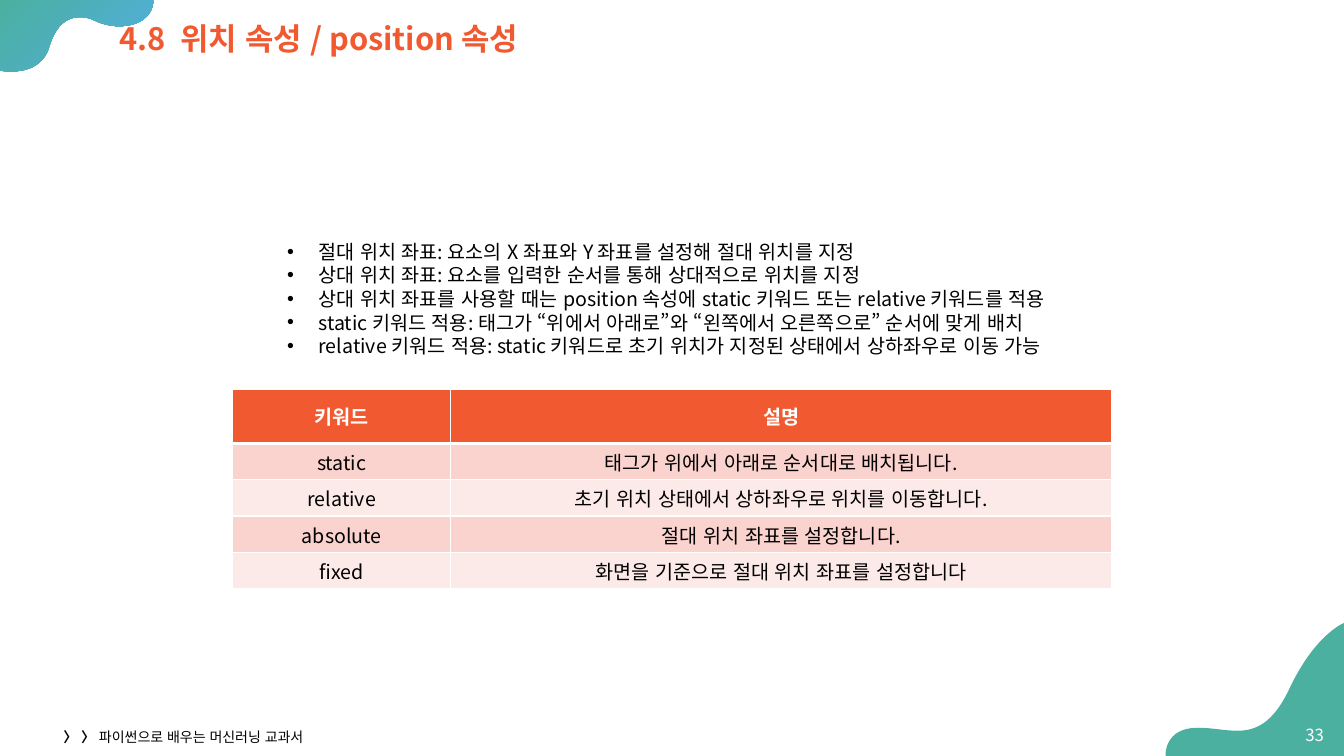
from lxml.etree import SubElement
from pptx import Presentation
from pptx.dml.color import RGBColor
from pptx.enum.lang import MSO_LANGUAGE_ID as Language
from pptx.enum.text import MSO_ANCHOR as Anchor, PP_ALIGN as Align
from pptx.oxml.ns import qn
from pptx.util import Inches, Pt

FONT = "Noto Sans CJK KR"
ORANGE = RGBColor(0xF1, 0x5A, 0x31)
TEAL = RGBColor(0x4B, 0xB0, 0xA0)
BLUE = RGBColor(0x52, 0xAE, 0xE1)
WHITE = RGBColor(0xFF, 0xFF, 0xFF)
BLACK = RGBColor(0, 0, 0)
BANDS = RGBColor(0xFA, 0xD2, 0xCE), RGBColor(0xFC, 0xEA, 0xE8)

# Outline segments: one point is a line, three points are a Bezier curve
TOP_WAVE = [
    [(0, 0)], [(0, 0.7)],
    [(0, 0.7), (0.04, 0.71), (0.11, 0.71)],
    [(0.24, 0.71), (0.43, 0.67), (0.49, 0.46)],
    [(0.56, 0.23), (0.68, 0.17), (0.79, 0.17)],
    [(0.84, 0.17), (0.89, 0.18), (0.93, 0.2)],
    [(1.01, 0.24), (1.1, 0.26), (1.18, 0.26)],
    [(1.37, 0.26), (1.52, 0.17), (1.52, 0)],
]
BOTTOM_WAVE = [
    [(1.79, 0), (1.5, 0.11), (1.24, 0.67)],
    [(1.08, 1), (0.91, 1.07), (0.73, 1.07)],
    [(0.61, 1.07), (0.48, 1.04), (0.34, 1.04)],
    [(0, 1.04), (0.02, 1.32), (0.02, 1.32)],
    [(1.79, 1.32)],
]
POINTS = [
    "절대 위치 좌표: 요소의 X 좌표와 Y 좌표를 설정해 절대 위치를 지정",
    "상대 위치 좌표: 요소를 입력한 순서를 통해 상대적으로 위치를 지정",
    "상대 위치 좌표를 사용할 때는 position 속성에 static 키워드 또는 relative 키워드를 적용",
    "static 키워드 적용: 태그가 “위에서 아래로”와 “왼쪽에서 오른쪽으로” 순서에 맞게 배치",
    "relative 키워드 적용: static 키워드로 초기 위치가 지정된 상태에서 상하좌우로 이동 가능",
]
KEYWORDS = [
    ("키워드", "설명"),
    ("static", "태그가 위에서 아래로 순서대로 배치됩니다."),
    ("relative", "초기 위치 상태에서 상하좌우로 위치를 이동합니다."),
    ("absolute", "절대 위치 좌표를 설정합니다."),
    ("fixed", "화면을 기준으로 절대 위치 좌표를 설정합니다"),
]


def add_run(paragraph, text, size, color, bold=False):
    run = paragraph.add_run()
    run.text = text
    formats = {"name": FONT, "size": Pt(size), "bold": bold,
               "language_id": Language.KOREAN}
    for key, value in formats.items():
        setattr(run.font, key, value)
    run.font.color.rgb = color
    SubElement(run.font._element, qn("a:ea"), typeface=FONT)


def add_frame(slide, box, anchor=Anchor.MIDDLE):
    frame = slide.shapes.add_textbox(*map(Inches, box)).text_frame
    frame.word_wrap = True
    frame.vertical_anchor = anchor
    return frame


def add_wave(slide, origin, start, segments):
    spots = [(Inches(origin[0] + x), Inches(origin[1] + y))
             for segment in [[start], *segments] for x, y in segment]
    builder = slide.shapes.build_freeform(*spots[0])
    builder.add_line_segments(spots[1:])
    wave = builder.convert_to_shape()
    wave.shadow.inherit = False
    wave.line.fill.background()
    # Merge the three lines of each curved segment into one Bezier curve
    lines = iter(list(wave._element.iter(qn("a:lnTo"))))
    for segment in segments:
        first, *others = [next(lines) for _ in segment]
        if others:
            first.tag = qn("a:cubicBezTo")
        for line in others:
            first.append(line[0])
            line.getparent().remove(line)
    return wave


def add_waves(slide):
    top = add_wave(slide, (0, 0), (1.52, 0), TOP_WAVE)
    top.fill.gradient()
    top.fill.gradient_angle = 315
    for stop, color in zip(top.fill.gradient_stops, (TEAL, BLUE)):
        stop.color.rgb = color
    bottom = add_wave(slide, (11.54, 6.18), (1.79, 0), BOTTOM_WAVE)
    bottom.fill.solid()
    bottom.fill.fore_color.rgb = TEAL


def add_title(slide, box):
    title = add_frame(slide, box).paragraphs[0]
    title.line_spacing = 0.9
    add_run(title, "4.8  위치 속성 / position 속성", 22, ORANGE, True)


def add_points(slide, box):
    frame = add_frame(slide, box, Anchor.TOP)
    for index, point in enumerate(POINTS):
        paragraph = frame.add_paragraph() if index else frame.paragraphs[0]
        props = paragraph._p.get_or_add_pPr()
        props.set("marL", str(Inches(0.31)))
        props.set("indent", str(Inches(-0.31)))
        SubElement(props, qn("a:buFont"), typeface="Arial")
        SubElement(props, qn("a:buChar"), char="•")
        add_run(paragraph, point, 14, BLACK)


def set_borders(cell, bottom_width):
    props = cell._tc.get_or_add_tcPr()
    widths = {"a:lnL": 1, "a:lnR": 1, "a:lnT": 1, "a:lnB": bottom_width}
    for position, (side, width) in enumerate(widths.items()):
        line = SubElement(props, qn(side), w=str(Pt(width)))
        fill = SubElement(line, qn("a:solidFill"))
        SubElement(fill, qn("a:srgbClr"), val=str(WHITE))
        props.insert(position, line)


def add_keyword_table(slide, box):
    table = slide.shapes.add_table(len(KEYWORDS), 2, *map(Inches, box)).table
    for column, width in zip(table.columns, (2.16, box[2] - 2.16)):
        column.width = Inches(width)
    for index, texts in enumerate(KEYWORDS):
        header = index == 0
        table.rows[index].height = Inches(0.54 if header else 0.36)
        for column, text in enumerate(texts):
            cell = table.cell(index, column)
            cell.vertical_anchor = Anchor.MIDDLE
            if not header:
                margins = {"margin_left": 0.01, "margin_right": 0.01,
                           "margin_top": 0.01, "margin_bottom": 0}
                for side, margin in margins.items():
                    setattr(cell, side, Inches(margin))
            cell.fill.solid()
            cell.fill.fore_color.rgb = ORANGE if header else BANDS[(index - 1) % 2]
            # A thick rule closes the header
            set_borders(cell, 3 if header else 1)
            paragraph = cell.text_frame.paragraphs[0]
            paragraph.alignment = Align.CENTER
            add_run(paragraph, text, 14, WHITE if header else BLACK, header)


def add_footer(slide, book_box, number_box):
    book = add_frame(slide, book_box).paragraphs[0]
    add_run(book, "〉 〉 ", 10, BLACK, True)
    add_run(book, "파이썬으로 배우는 머신러닝 교과서", 10, BLACK)
    number = add_frame(slide, number_box).paragraphs[0]
    number.alignment = Align.RIGHT
    add_run(number, "33", 12, WHITE)


def main():
    deck = Presentation()
    deck.slide_width, deck.slide_height = Inches(13.33), Inches(7.5)
    slide = deck.slides.add_slide(deck.slide_layouts[6])
    add_waves(slide)
    add_title(slide, (1.09, 0.19, 12.24, 0.43))
    add_keyword_table(slide, (2.31, 3.86, 8.72, 1.98))
    add_points(slide, (2.75, 2.33, 7.85, 1.28))
    add_footer(slide, (0.53, 7.19, 4.5, 0.24), (12.79, 7.09, 0.44, 0.4))
    deck.save("out.pptx")


if __name__ == "__main__":
    main()
